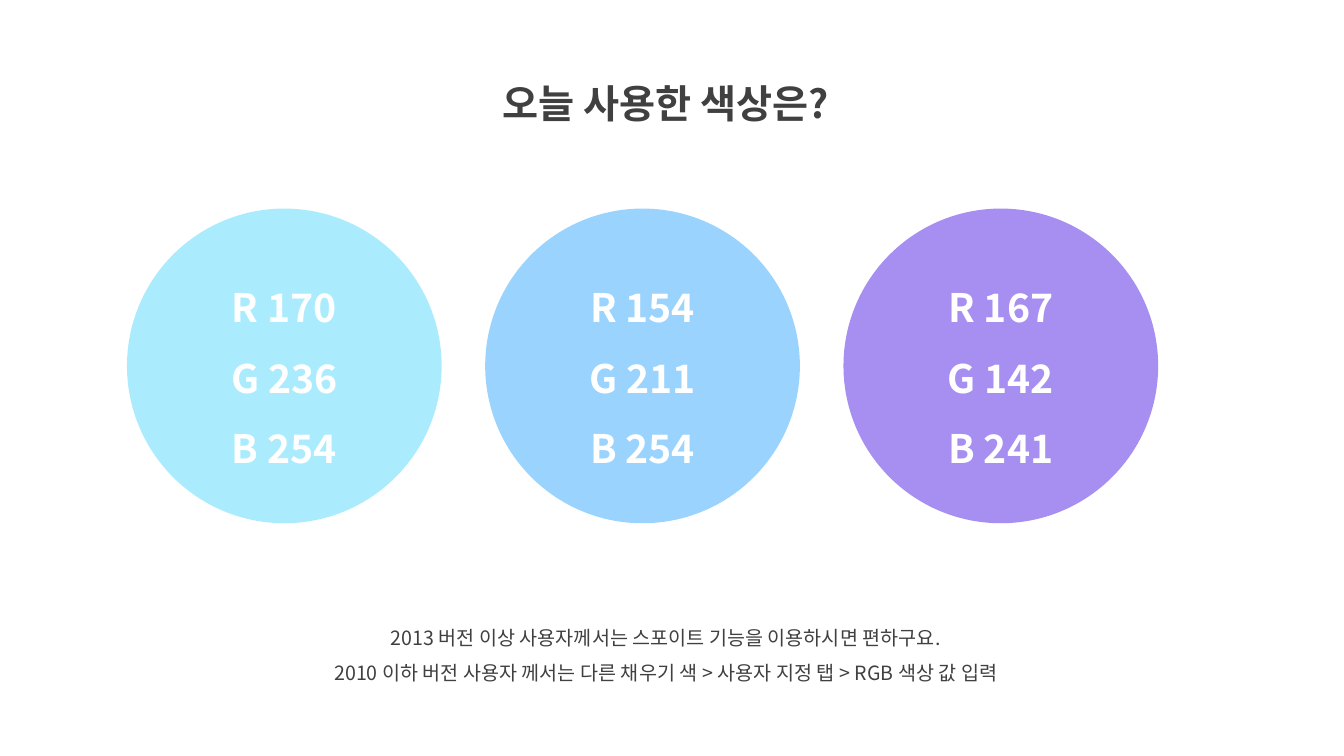
from dataclasses import dataclass

from lxml import etree
from pptx import Presentation
from pptx.dml.color import RGBColor
from pptx.enum.shapes import MSO_SHAPE
from pptx.enum.text import MSO_ANCHOR, MSO_AUTO_SIZE, PP_ALIGN
from pptx.oxml.ns import qn
from pptx.util import Pt

OVAL = MSO_SHAPE.OVAL
CENTER = PP_ALIGN.CENTER
MIDDLE = MSO_ANCHOR.MIDDLE
GROW = MSO_AUTO_SIZE.SHAPE_TO_FIT_TEXT


@dataclass(frozen=True)
class Theme:
    face: str = "Noto Sans CJK KR"
    ink: RGBColor = RGBColor(64, 64, 64)
    white: RGBColor = RGBColor(255, 255, 255)
    large: int = 28
    small: int = 14
    lead: float = 1.5


class Page:
    def __init__(self, slide, theme):
        self.slide = slide
        self.theme = theme

    def set_text(self, frame, lines, size, color, bold):
        frame.word_wrap = True
        frame.text = "\n".join(lines)
        for para in frame.paragraphs:
            para.alignment = CENTER
            para.line_spacing = self.theme.lead
            for run in para.runs:
                font = run.font
                font.size = Pt(size)
                font.bold = bold
                font.color.rgb = color
                font.name = self.theme.face
                # Hangul takes the East Asian typeface
                east = etree.SubElement(run._r.get_or_add_rPr(), qn("a:ea"))
                east.set("typeface", self.theme.face)

    def label(self, box, lines, size, bold=False):
        shape = self.slide.shapes.add_textbox(*map(Pt, box))
        self.set_text(shape.text_frame, lines, size, self.theme.ink, bold)
        shape.text_frame.auto_size = GROW

    def swatch(self, left, top, size, color):
        shape = self.slide.shapes.add_shape(
            OVAL, Pt(left), Pt(top), Pt(size), Pt(size))
        shape.shadow.inherit = False
        shape.fill.solid()
        shape.fill.fore_color.rgb = RGBColor(*color)
        shape.line.fill.background()
        shape.text_frame.vertical_anchor = MIDDLE
        lines = [f"{name} {value}" for name, value in zip("RGB", color)]
        self.set_text(shape.text_frame, lines, self.theme.large,
                      self.theme.white, True)


def main():
    deck = Presentation()
    deck.slide_width, deck.slide_height = Pt(960), Pt(540)
    theme = Theme()
    page = Page(deck.slides.add_slide(deck.slide_layouts[6]), theme)

    # Title
    page.label((308.9, 36, 333.4, 51.8), ["오늘 사용한 색상은?"],
               theme.large, bold=True)

    # Usage note
    page.label((187.9, 434.9, 575.3, 58.3), [
        "2013 버전 이상 사용자께서는 스포이트 기능을 이용하시면 편하구요.",
        "2010 이하 버전 사용자 께서는 다른 채우기 색 > 사용자 지정 탭 > RGB 색상 값 입력",
    ], theme.small)

    # Colour swatches, each showing its own values
    left, top, size, step = 90.7, 149, 224.8, 255.9
    colors = [(170, 236, 254), (154, 211, 254), (167, 142, 241)]
    for i, color in enumerate(colors):
        page.swatch(left + i * step, top, size, color)

    deck.save("out.pptx")


if __name__ == "__main__":
    main()
